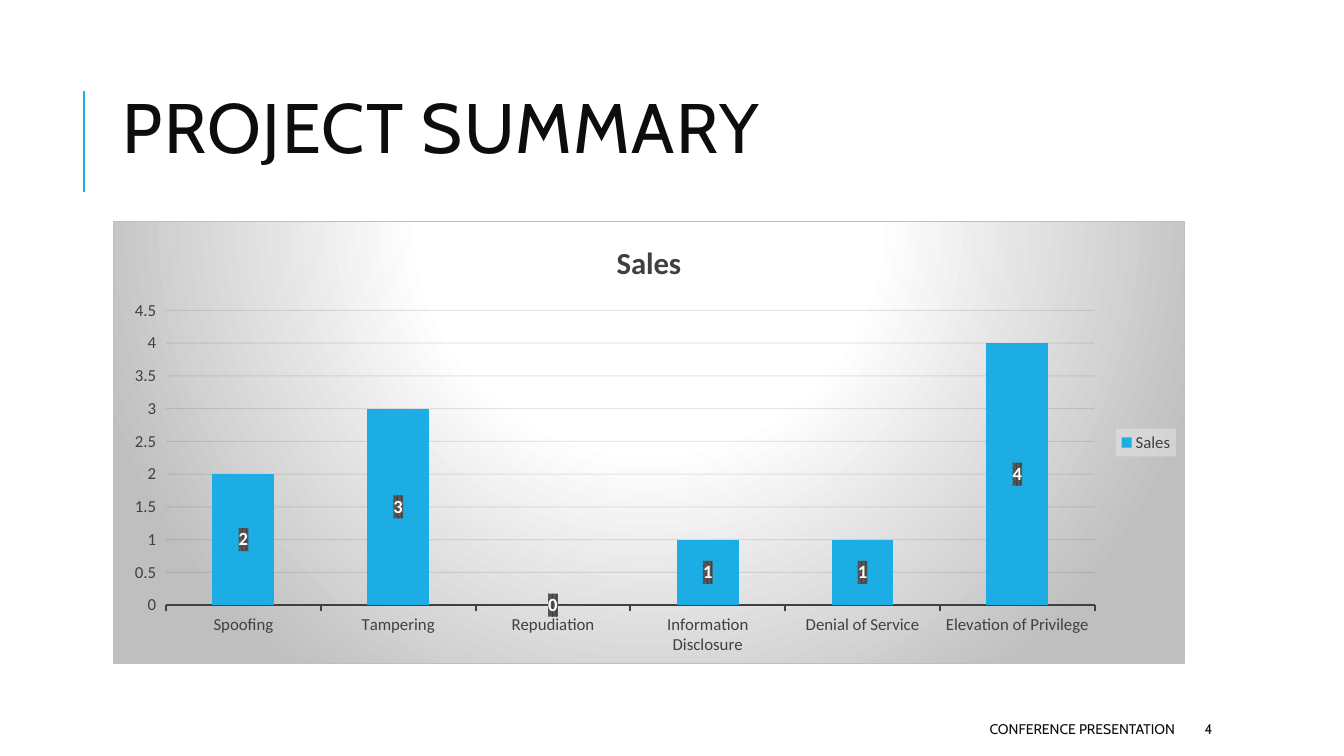
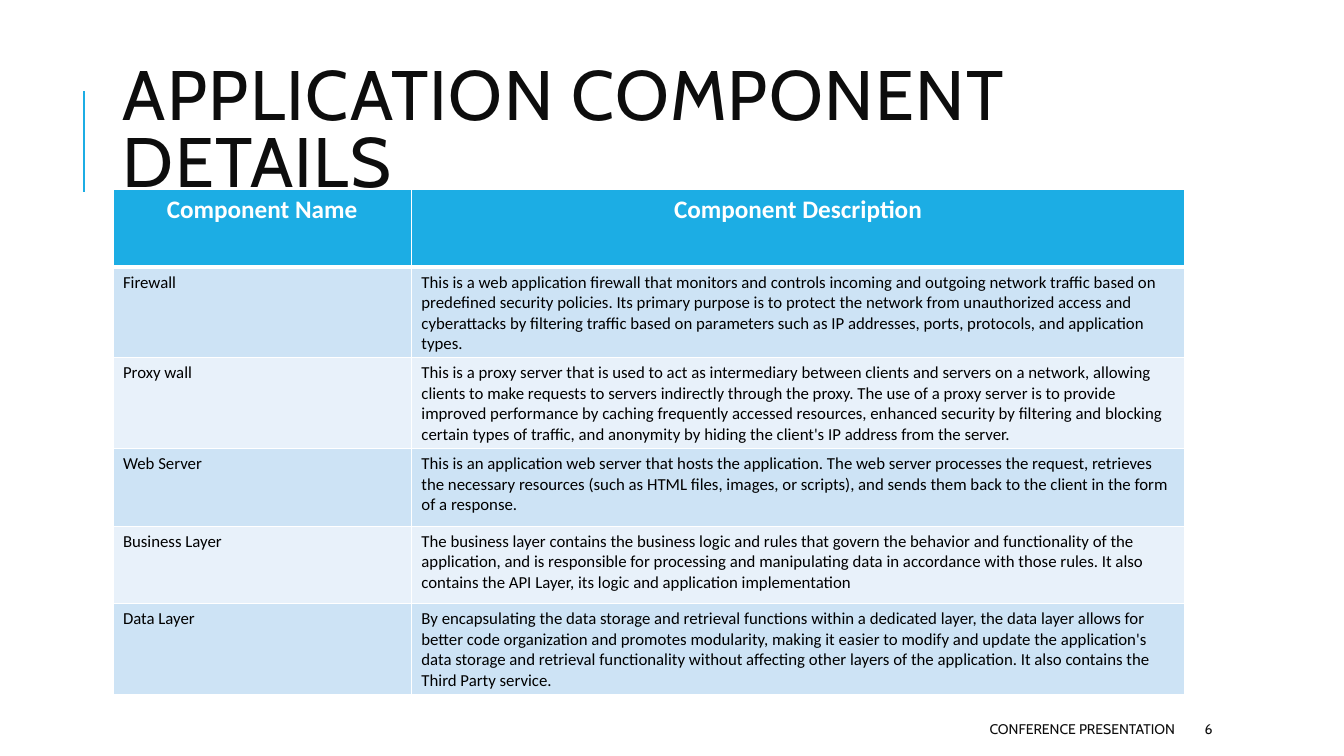
import pptx
import pptx.util
import pptx.chart.data
import pptx.dml.color
import pptx.enum.chart
import pptx.enum.shapes
import pptx.enum.text
import pptx.oxml
import pptx.oxml.ns

Inches, Pt = pptx.util.Inches, pptx.util.Pt
ALIGN = pptx.enum.text.PP_ALIGN

COLORS = {
    "accent": "1CADE4",
    "ink": "0D0D0D",
    "chart_text": "404040",
    "label_hatch": "595959",
    "grey": "BFBFBF",
    "legend": "F2F2F2",
    "white": "FFFFFF",
    "black": "000000",
    "band_dark": "CDE3F5",
    "band_light": "E8F1FA",
}
HEAD_FONT, BODY_FONT = "Cabin", "Calibri"
LEFT, WIDTH = 1.12, 10.63
FOOTER_TOP, FOOTER_HEIGHT = 7.08, 0.3

THREATS = {
    "Spoofing": 2,
    "Tampering": 3,
    "Repudiation": 0,
    "Information Disclosure": 1,
    "Denial of Service": 1,
    "Elevation of Privilege": 4,
}
COMPONENTS = [
    ("Component Name", "Component Description"),
    ("Firewall",
     "This is a web application firewall that monitors and controls incoming and outgoing "
     "network traffic based on predefined security policies. Its primary purpose is to protect "
     "the network from unauthorized access and cyberattacks by filtering traffic based on "
     "parameters such as IP addresses, ports, protocols, and application types."),
    ("Proxy wall",
     "This is a proxy server that is used to act as intermediary between clients and servers on "
     "a network, allowing clients to make requests to servers indirectly through the proxy. The "
     "use of a proxy server is to provide improved performance by caching frequently accessed "
     "resources, enhanced security by filtering and blocking certain types of traffic, and "
     "anonymity by hiding the client's IP address from the server."),
    ("Web Server",
     "This is an application web server that hosts the application. The web server processes "
     "the request, retrieves the necessary resources (such as HTML files, images, or scripts), "
     "and sends them back to the client in the form of a response."),
    ("Business Layer",
     "The business layer contains the business logic and rules that govern the behavior and "
     "functionality of the application, and is responsible for processing and manipulating data "
     "in accordance with those rules. It also contains the API Layer, its logic and application "
     "implementation"),
    ("Data Layer",
     "By encapsulating the data storage and retrieval functions within a dedicated layer, the "
     "data layer allows for better code organization and promotes modularity, making it easier "
     "to modify and update the application's data storage and retrieval functionality without "
     "affecting other layers of the application. It also contains the Third Party service."),
]


def rgb(name):
    return pptx.dml.color.RGBColor.from_string(COLORS[name])


def xml(tag, inner="", attrs=""):
    """Build an element whose children may use the a: and c: prefixes."""
    ns = pptx.oxml.ns.nsdecls("a", "c")
    return pptx.oxml.parse_xml(f"<{tag} {ns} {attrs}>{inner}</{tag}>")


def clr(name, alpha=100):
    return f'<a:srgbClr val="{COLORS[name]}"><a:alpha val="{alpha * 1000}"/></a:srgbClr>'


def solid(name, alpha=100):
    return f"<a:solidFill>{clr(name, alpha)}</a:solidFill>"


def style_font(font, size, color, name=BODY_FONT, bold=False):
    font.size, font.name, font.bold = Pt(size), name, bold
    font.color.rgb = rgb(color)


def add_run(p, text, *style, **options):
    r = p.add_run()
    r.text = text
    style_font(r.font, *style, **options)
    return r


def add_text(s, box, text, size, align=ALIGN.LEFT):
    tb = s.shapes.add_textbox(*map(Inches, box))
    tf = tb.text_frame
    tf.word_wrap = True
    tf.vertical_anchor = pptx.enum.text.MSO_ANCHOR.MIDDLE
    p = tf.paragraphs[0]
    p.alignment = align
    return p, add_run(p, text, size, "ink", HEAD_FONT)


def add_frame(prs, title, number):
    """Add a slide with its accent rule, title and footer."""
    s = prs.slides.add_slide(prs.slide_layouts[6])
    rule = s.shapes.add_connector(
        pptx.enum.shapes.MSO_CONNECTOR.STRAIGHT,
        Inches(0.83), Inches(1.9), Inches(0.83), Inches(0.9))
    rule.line.color.rgb = rgb("accent")
    rule.line.width = Pt(1.5)
    rule.element.spPr.append(xml("a:effectLst"))

    p, r = add_text(s, (LEFT, 0.62, WIDTH, 1.41), title, 50)
    p.line_spacing = 0.8
    r.font._element.set("spc", "100")

    add_text(s, (5.3, FOOTER_TOP, 6.45, FOOTER_HEIGHT), "CONFERENCE PRESENTATION", 10, ALIGN.RIGHT)
    add_text(s, (11.85, FOOTER_TOP, 1.06, FOOTER_HEIGHT), str(number), 10)
    return s


def fill_chart_part(chart, parent, inner):
    """Give the chart part at this XPath a fill, placed before its text style."""
    chart.element.xpath(f"{parent}/c:txPr")[0].addprevious(xml("c:spPr", inner))


def style_axes(chart):
    cat, val = chart.category_axis, chart.value_axis
    for axis in (cat, val):
        style_font(axis.tick_labels.font, 12, "chart_text")
        axis.major_tick_mark = pptx.enum.chart.XL_TICK_MARK.OUTSIDE
    cat.format.line.color.rgb = rgb("chart_text")
    cat.format.line.width = Pt(1.5)
    val.format.line.fill.background()
    val.minimum_scale, val.maximum_scale, val.major_unit = 0, 4.5, 0.5
    val.has_major_gridlines = True
    grid = val.major_gridlines.format.line
    grid.color.rgb = rgb("ink")
    grid.width = Pt(0.75)
    grid_color = chart.element.xpath(".//c:majorGridlines//a:srgbClr")[0]
    grid_color.append(xml("a:alpha", attrs='val="10000"'))


def style_backgrounds(chart):
    stops = "".join(f'<a:gs pos="{pos * 1000}">{clr(name)}</a:gs>'
                    for pos, name in ((0, "white"), (39, "white"), (100, "grey")))
    fill_chart_part(chart, ".", (
        f'<a:gradFill><a:gsLst>{stops}</a:gsLst><a:path path="circle">'
        '<a:fillToRect l="50000" t="-80000" r="50000" b="180000"/></a:path></a:gradFill>'
        f'<a:ln w="{Pt(0.75)}">{solid("grey")}</a:ln>'))
    fill_chart_part(chart, ".//c:legend", solid("legend", 39))
    fill_chart_part(chart, ".//c:barChart/c:dLbls", (
        f'<a:pattFill prst="pct75"><a:fgClr>{clr("chart_text")}</a:fgClr>'
        f'<a:bgClr>{clr("label_hatch")}</a:bgClr></a:pattFill>'))


def add_column_chart(s, box, name, values):
    data = pptx.chart.data.CategoryChartData()
    data.categories = list(values)
    data.add_series(name, list(values.values()))
    chart = s.shapes.add_chart(
        pptx.enum.chart.XL_CHART_TYPE.COLUMN_CLUSTERED, *map(Inches, box), data).chart
    style_font(chart.font, 10, "black")

    chart.has_title = True
    add_run(chart.chart_title.text_frame.paragraphs[0], name, 22, "chart_text", bold=True)
    chart.chart_title.include_in_layout = False

    chart.has_legend = True
    chart.legend.position = pptx.enum.chart.XL_LEGEND_POSITION.RIGHT
    chart.legend.include_in_layout = False
    style_font(chart.legend.font, 12, "chart_text")

    plot = chart.plots[0]
    plot.gap_width = 150
    plot.vary_by_categories = False
    bars = plot.series[0].format.fill
    bars.solid()
    bars.fore_color.rgb = rgb("accent")

    plot.has_data_labels = True
    labels = plot.data_labels
    labels.show_value = True
    labels.position = pptx.enum.chart.XL_LABEL_POSITION.CENTER
    style_font(labels.font, 13.3, "white", bold=True)

    style_axes(chart)
    style_backgrounds(chart)


def set_borders(cell, **widths):
    """Draw white borders; widths are points by side: L, R, T, B."""
    tcPr = cell._tc.get_or_add_tcPr()
    for i, side in enumerate("LRTB"):
        width = Pt(widths.get(side, 1))
        tcPr.insert(i, xml(f"a:ln{side}", solid("white"), f'w="{width}"'))


def add_table(s, box, rows, col_widths):
    table = s.shapes.add_table(len(rows), len(col_widths), *map(Inches, box)).table
    table.horz_banding = False
    for col, width in zip(table.columns, col_widths):
        col.width = Inches(width)
    for i, row in enumerate(rows):
        header = i == 0
        fill = "accent" if header else ("band_light", "band_dark")[i % 2]
        for j, text in enumerate(row):
            cell = table.cell(i, j)
            cell.fill.solid()
            cell.fill.fore_color.rgb = rgb(fill)
            set_borders(cell, T=3 if i == 1 else 1, B=3 if header else 1)
            p = cell.text_frame.paragraphs[0]
            p.alignment = ALIGN.CENTER if header else ALIGN.LEFT
            add_run(p, text, 18 if header else 12, "white" if header else "black", bold=header)


def main():
    prs = pptx.Presentation()
    prs.slide_width, prs.slide_height = Inches(13.33), Inches(7.5)

    s = add_frame(prs, "PROJECT SUMMARY", 4)
    add_column_chart(s, (LEFT, 2.19, WIDTH, 4.4), "Sales", THREATS)

    s = add_frame(prs, "APPLICATION COMPONENT DETAILS", 6)
    add_table(s, (LEFT, 1.88, WIDTH, 0.77 * len(COMPONENTS)), COMPONENTS, (2.96, 7.67))

    prs.save("out.pptx")


if __name__ == "__main__":
    main()
